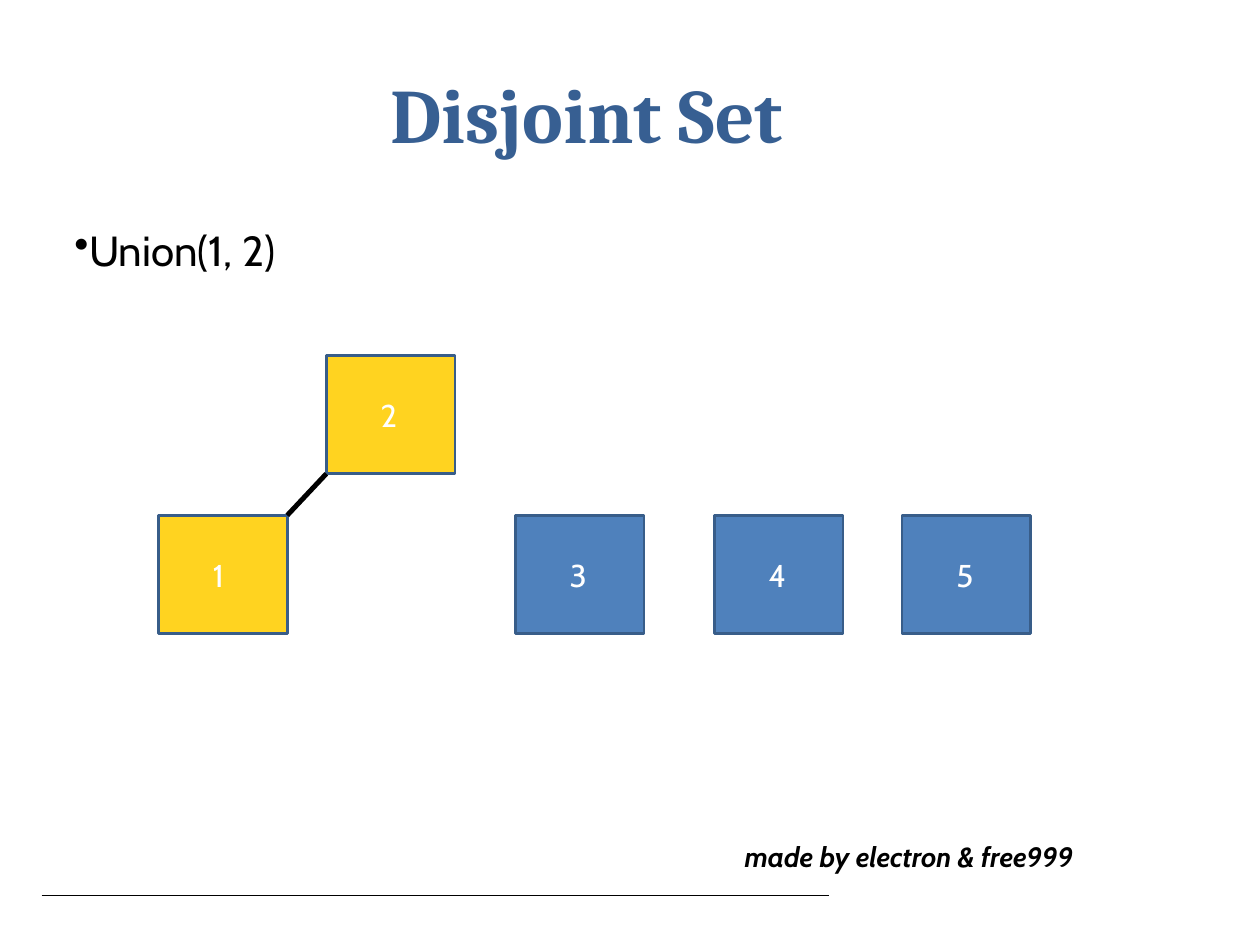
"""Build the Disjoint Set slide showing Union(1, 2)."""
from lxml import etree
from pptx import Presentation
from pptx import util as u
from pptx.dml.color import RGBColor
from pptx.enum import shapes, text
from pptx.oxml.ns import qn

COLORS = {"title": "375F92", "ink": "000000", "joined": "FFD320",
          "single": "4F81BC", "edge": "385D89", "label": "FFFFFF"}
NODE_WIDTH, NODE_HEIGHT = 1.02, 0.94
ROOT_TOP, ROW_TOP = 2.82, 4.09
NODES = [("1", 1.26, ROW_TOP, "joined"), ("2", 2.59, ROOT_TOP, "joined"),
         ("3", 4.09, ROW_TOP, "single"), ("4", 5.67, ROW_TOP, "single"),
         ("5", 7.16, ROW_TOP, "single")]
CHILD, ROOT = NODES[:2]
LINES = [((0.33, 7.11), (6.58, 7.11), 0.5),
         ((CHILD[1] + NODE_WIDTH, CHILD[2]), (ROOT[1], ROOT[2] + NODE_HEIGHT), 2.83)]


def rgb(name):
    return RGBColor.from_string(COLORS[name])


def write(box, words, size, color="ink", font="Cabin", bold=False, italic=False,
          bullet=None, spacing=None, left=0, top=0.01):
    frame = box.text_frame
    frame.word_wrap = True
    frame.auto_size = text.MSO_AUTO_SIZE.NONE
    frame.vertical_anchor = text.MSO_ANCHOR.TOP
    frame.margin_left, frame.margin_top = u.Inches(left), u.Inches(top)
    frame.margin_right = frame.margin_bottom = 0
    para = frame.paragraphs[0]
    para.alignment = text.PP_ALIGN.LEFT
    if spacing:
        para.line_spacing = u.Pt(spacing)
    if bullet:
        etree.SubElement(para._p.get_or_add_pPr(), qn("a:buChar")).set("char", bullet)
    span = para.add_run()
    span.text = words
    span.font.name, span.font.size = font, u.Pt(size)
    span.font.bold, span.font.italic = bold, italic
    span.font.color.rgb = rgb(color)


def add_line(page, start, end, width):
    line = page.shapes.add_connector(
        shapes.MSO_CONNECTOR.STRAIGHT, *map(u.Inches, start + end))
    line.line.color.rgb = rgb("ink")
    line.line.width = u.Pt(width)
    etree.SubElement(line._element.spPr, qn("a:effectLst"))


def add_node(page, label, left, top, fill):
    node = page.shapes.add_shape(
        shapes.MSO_SHAPE.RECTANGLE,
        *map(u.Inches, (left, top, NODE_WIDTH, NODE_HEIGHT)))
    node.shadow.inherit = False
    node.fill.solid()
    node.fill.fore_color.rgb = rgb(fill)
    node.line.color.rgb = rgb("edge")
    node.line.width = u.Pt(1.5)
    write(node, label, 18, color="label", left=0.43, top=0.32)


def main():
    deck = Presentation()
    deck.slide_width, deck.slide_height = u.Inches(10), u.Inches(7.5)
    page = deck.slides.add_slide(deck.slide_layouts[5])

    title = page.shapes.title
    title.left, title.top = u.Inches(3.1), u.Inches(0.52)
    title.width, title.height = u.Inches(3.8), u.Inches(1.27)
    write(title, "Disjoint Set", 44, color="title", font="Cambria", bold=True)

    operation = page.shapes.add_textbox(*map(u.Inches, (0.59, 1.77, 2.72, 0.81)))
    write(operation, "Union(1, 2)", 24, bullet="•")
    credit = page.shapes.add_textbox(*map(u.Inches, (5.91, 6.85, 3.15, 0.65)))
    write(credit, "made by electron & free999", 16, bold=True, italic=True,
          spacing=5.7, top=0)

    for node in NODES:
        add_node(page, *node)
    for line in LINES:
        add_line(page, *line)
    deck.save("out.pptx")


if __name__ == "__main__":
    main()
